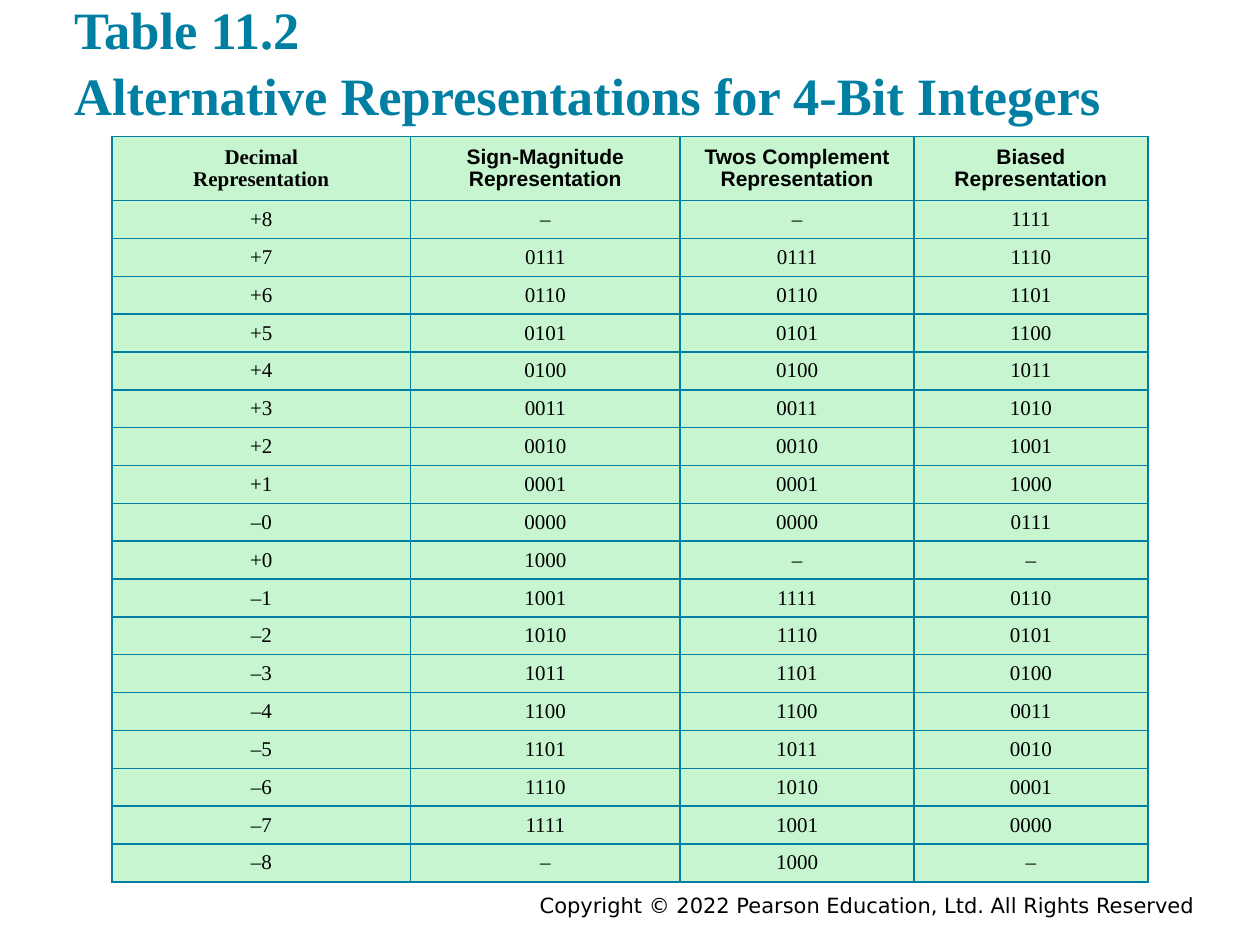
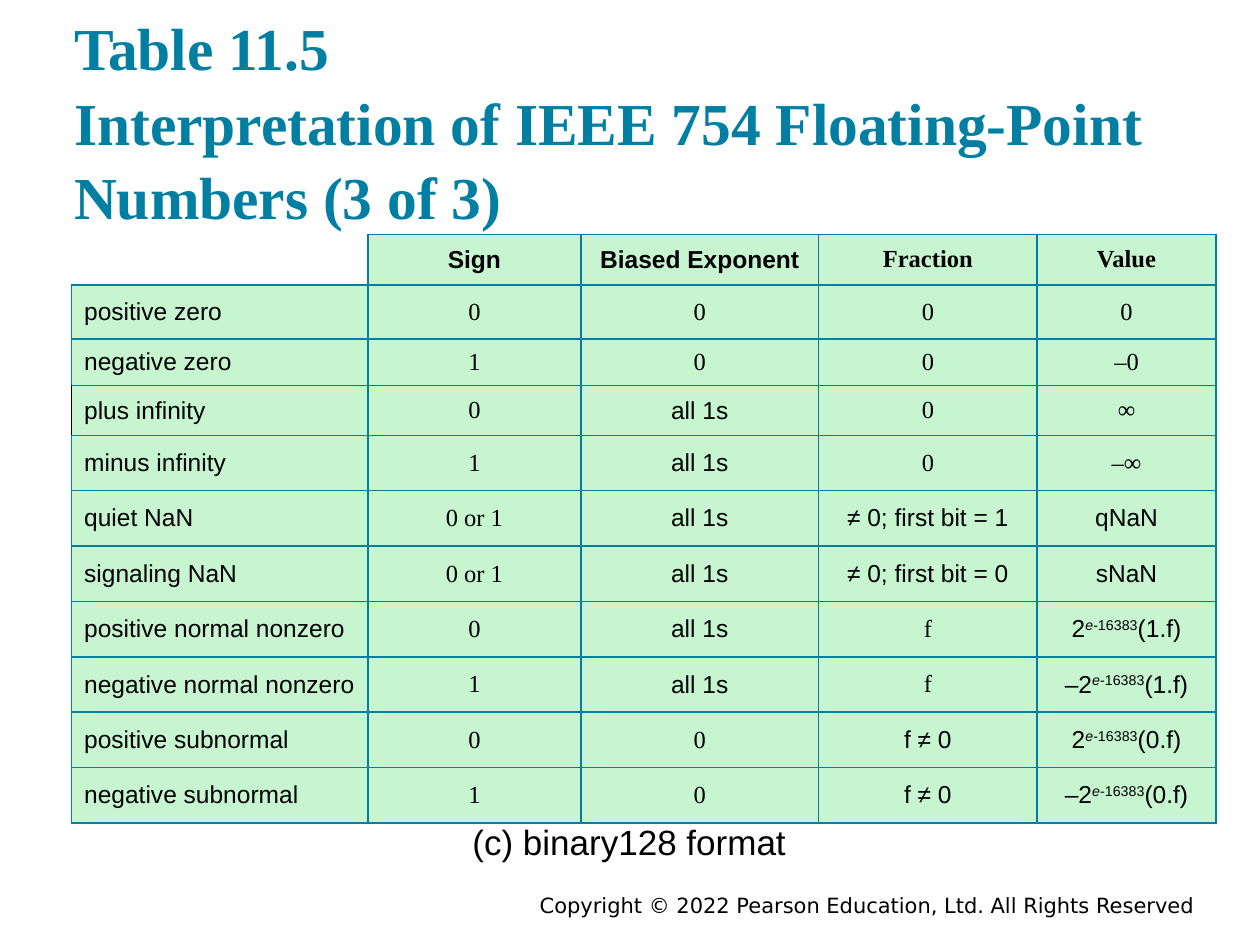
import pptx
import pptx.dml.color
import pptx.enum.text
import pptx.oxml
import pptx.oxml.ns
import pptx.util

Pt = pptx.util.Pt
RGBColor = pptx.dml.color.RGBColor
Align = pptx.enum.text.PP_ALIGN
Anchor = pptx.enum.text.MSO_ANCHOR

TEAL = RGBColor(0x00, 0x7F, 0xA3)
MINT = RGBColor(0xC6, 0xF5, 0xCF)
BLACK = RGBColor(0x00, 0x00, 0x00)

SERIF = "Times New Roman"
SANS = "Arial"
FOOTER_FONT = "DejaVu Sans"
SERIF_WORDS = {"Decimal\nRepresentation", "Fraction", "Value", "0 or 1", "f"}

COPYRIGHT = "Copyright © 2022 Pearson Education, Ltd. All Rights Reserved"

INTEGER_HEADER = ["Decimal\nRepresentation", "Sign-Magnitude\nRepresentation",
                  "Twos Complement\nRepresentation", "Biased\nRepresentation"]
INTEGER_ROWS = [line.split() for line in (
    "+8 – – 1111",
    "+7 0111 0111 1110",
    "+6 0110 0110 1101",
    "+5 0101 0101 1100",
    "+4 0100 0100 1011",
    "+3 0011 0011 1010",
    "+2 0010 0010 1001",
    "+1 0001 0001 1000",
    "–0 0000 0000 0111",
    "+0 1000 – –",
    "–1 1001 1111 0110",
    "–2 1010 1110 0101",
    "–3 1011 1101 0100",
    "–4 1100 1100 0011",
    "–5 1101 1011 0010",
    "–6 1110 1010 0001",
    "–7 1111 1001 0000",
    "–8 – 1000 –",
)]

# In a formula, bars separate base, italic exponent, plain exponent and factor.
FLOAT_ROWS = [
    ["", "Sign", "Biased Exponent", "Fraction", "Value"],
    ["positive zero", "0", "0", "0", "0"],
    ["negative zero", "1", "0", "0", "–0"],
    ["plus infinity", "0", "all 1s", "0", "∞"],
    ["minus infinity", "1", "all 1s", "0", "–∞"],
    ["quiet NaN", "0 or 1", "all 1s", "≠ 0; first bit = 1", "qNaN"],
    ["signaling NaN", "0 or 1", "all 1s", "≠ 0; first bit = 0", "sNaN"],
    ["positive normal nonzero", "0", "all 1s", "f", "2|e|-16383|(1.f)"],
    ["negative normal nonzero", "1", "all 1s", "f", "–2|e|-16383|(1.f)"],
    ["positive subnormal", "0", "0", "f ≠ 0", "2|e|-16383|(0.f)"],
    ["negative subnormal", "1", "0", "f ≠ 0", "–2|e|-16383|(0.f)"],
]


def cell_font(text):
    """Numbers and a few set words are serif, all other wording is sans."""
    has_letters = any(character.isalpha() for character in text)
    return SANS if has_letters and text not in SERIF_WORDS else SERIF


def style_paragraph(paragraph, font, size, color=BLACK, bold=False, align=Align.LEFT):
    paragraph.alignment = align
    paragraph.font.name = font
    paragraph.font.size = Pt(size)
    paragraph.font.bold = bold
    paragraph.font.color.rgb = color


def set_borders(cell, **colors):
    """Set the edges L, R, T and B, in that order; None hides an edge."""
    properties = cell._tc.get_or_add_tcPr()
    for position, (edge, color) in enumerate(colors.items()):
        paint = (f'<a:solidFill><a:srgbClr val="{color}"/></a:solidFill>'
                 if color is not None else "<a:noFill/>")
        properties.insert(position, pptx.oxml.parse_xml(
            f'<a:ln{edge} {pptx.oxml.ns.nsdecls("a")} w="{Pt(1)}">{paint}</a:ln{edge}>'))


def add_formula(paragraph, parts):
    base, variable, exponent, factor = parts
    for text, raised, italic in ((base, False, False), (variable, True, True),
                                 (exponent, True, False), (factor, False, False)):
        run = paragraph.add_run()
        run.text = text
        if italic:
            run.font.italic = True
        if raised:
            run._r.get_or_add_rPr().set("baseline", "30000")


class Deck:
    def __init__(self):
        self.presentation = pptx.Presentation()
        self.presentation.slide_width = Pt(720)
        self.presentation.slide_height = Pt(540)
        self.slide = None

    def add_slide(self):
        self.slide = self.presentation.slides.add_slide(self.presentation.slide_layouts[6])
        self.add_text(COPYRIGHT, (126, 506.2, 563.8, 15.8), FOOTER_FONT, 12, align=Align.RIGHT)

    def add_text(self, text, box, font, size, **style):
        frame = self.slide.shapes.add_textbox(*map(Pt, box)).text_frame
        frame.word_wrap = True
        paragraph = frame.paragraphs[0]
        paragraph.text = text
        style_paragraph(paragraph, font, size, **style)
        return frame

    def add_title(self, number, name, top, height, size):
        frame = self.add_text(f"{number}\v{name}", (35.3, top, 648, height),
                              SERIF, size, color=TEAL, bold=True)
        frame.vertical_anchor = Anchor.BOTTOM
        frame.margin_top = frame.margin_bottom = Pt(7.2)
        frame.paragraphs[0].line_spacing = 1.05

    def add_table(self, rows, left, top, widths, heights, size, label_align=Align.CENTER):
        table = self.slide.shapes.add_table(
            len(rows), len(widths), Pt(left), Pt(top),
            Pt(sum(widths)), Pt(sum(heights))).table
        table.first_row = table.horz_banding = False
        for column, width in zip(table.columns, widths):
            column.width = Pt(width)
        for row_index, (row, height) in enumerate(zip(rows, heights)):
            table.rows[row_index].height = Pt(height)
            for column_index, text in enumerate(row):
                align = label_align if column_index == 0 else Align.CENTER
                self.fill_cell(table.cell(row_index, column_index), text, size,
                               bold=row_index == 0, align=align)

    def fill_cell(self, cell, text, size, bold, align):
        if not text:
            cell.fill.background()
            set_borders(cell, L=None, R=TEAL, T=None, B=TEAL)
            return
        cell.fill.solid()
        cell.fill.fore_color.rgb = MINT
        cell.vertical_anchor = Anchor.MIDDLE
        left_color = BLACK if text == "plus infinity" else TEAL
        set_borders(cell, L=left_color, R=TEAL, T=TEAL, B=TEAL)
        if "|" in text:
            add_formula(cell.text_frame.paragraphs[0], text.split("|"))
        else:
            cell.text_frame.text = text
        for paragraph in cell.text_frame.paragraphs:
            style_paragraph(paragraph, cell_font(text), size, bold=bold, align=align)
            if "\n" in text:
                paragraph.line_spacing = 0.95


def add_integer_slide(deck):
    deck.add_slide()
    deck.add_title("Table 11.2", "Alternative Representations for 4-Bit Integers",
                   top=-0.7, height=80, size=30)
    deck.add_table([INTEGER_HEADER] + INTEGER_ROWS, 64, 78,
                   widths=[170.6, 154.1, 133.6, 133.6],
                   heights=[36.6] + [21.54] * len(INTEGER_ROWS), size=12)


def add_float_slide(deck):
    deck.add_slide()
    deck.add_title("Table 11.5",
                   "Interpretation of IEEE 754 Floating-Point Numbers (3 of 3)",
                   top=10.8, height=128.9, size=34)
    deck.add_table(FLOAT_ROWS, 40.9, 133.9,
                   widths=[169.4, 121.6, 136, 124.8, 102.2],
                   heights=[22.8, 30.9, 26.8, 28.4] + [31.65] * 7,
                   size=14, label_align=Align.LEFT)
    deck.add_text("(c) binary128 format", (40.3, 465.1, 638.6, 31.5), SANS, 20,
                  align=Align.CENTER)


def main():
    deck = Deck()
    add_integer_slide(deck)
    add_float_slide(deck)
    deck.presentation.save("out.pptx")


if __name__ == "__main__":
    main()
